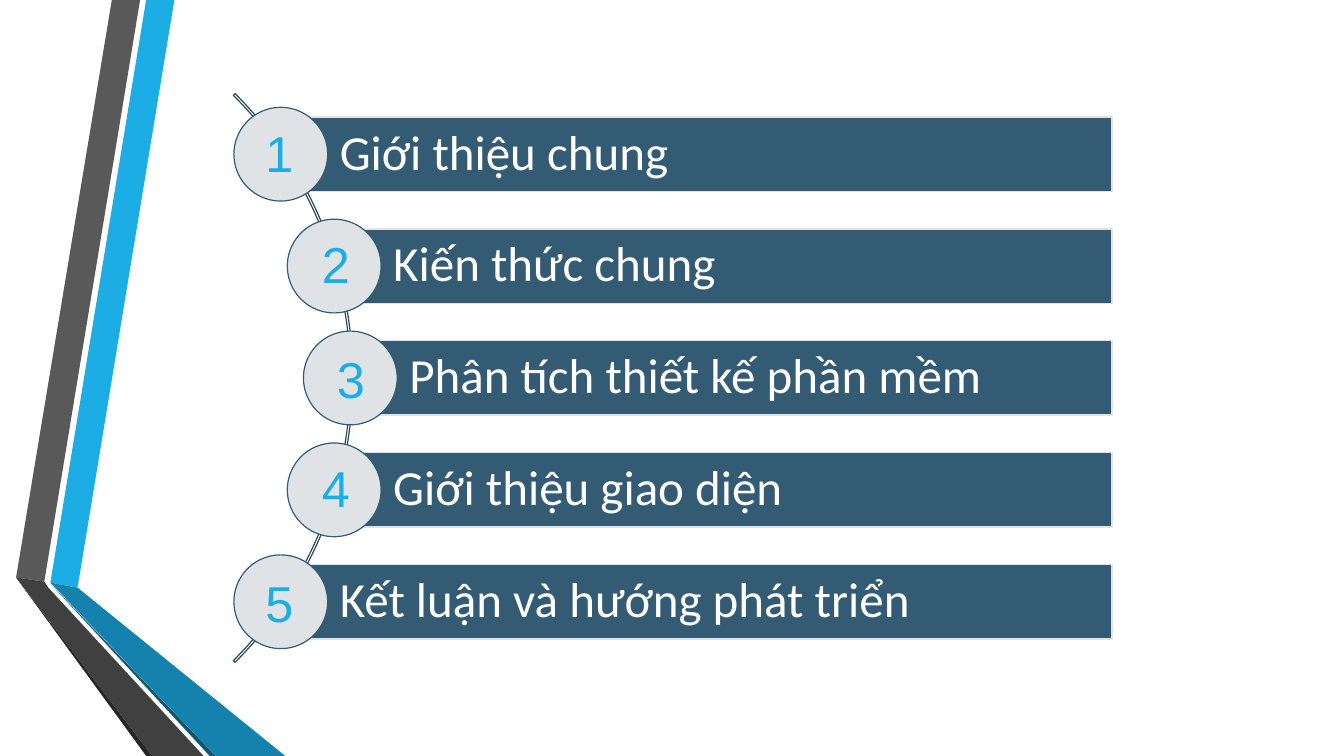
from dataclasses import dataclass

import pptx
import pptx.dml.color
import pptx.enum.shapes
import pptx.enum.text
import pptx.util
from pptx.dml.color import RGBColor
from pptx.util import Inches

WHITE = RGBColor(0xFF, 0xFF, 0xFF)
SKY = RGBColor(0x1C, 0xAD, 0xE4)
SKY_SHADE = RGBColor(0x14, 0x82, 0xAC)
SKY_DEEP = RGBColor(0x0E, 0x57, 0x72)
GRAY = RGBColor(0x59, 0x59, 0x59)
GRAY_SHADE = RGBColor(0x40, 0x40, 0x40)
GRAY_DEEP = RGBColor(0x26, 0x26, 0x26)
SLATE = RGBColor(0x33, 0x5B, 0x74)
SLATE_DARK = RGBColor(0x29, 0x49, 0x5D)
MIST = RGBColor(0xDF, 0xE3, 0xE5)

FIRST_BAR_TOP = 1.16
BAR_PITCH = 1.11
BAR_HEIGHT = 0.74
BAR_RIGHT = 11.03
CIRCLE_SIZE = 0.93
CIRCLE_OVERHANG = 0.46


@dataclass(frozen=True)
class Ribbon:
    color: RGBColor
    points: tuple[tuple[float, float], ...]


@dataclass(frozen=True)
class AgendaItem:
    title: str
    bar_left: float
    number_left: float
    number_top: float


RIBBONS = (
    Ribbon(SKY, ((0.5, 5.78), (0.77, 5.83), (1.73, 0), (1.45, 0))),
    Ribbon(GRAY, ((1.39, 0), (1.11, 0), (0.16, 5.73), (0.44, 5.77))),
    Ribbon(GRAY_DEEP, ((0.16, 5.73), (1.45, 7.5), (1.51, 7.5))),
    Ribbon(SKY_DEEP, ((0.5, 5.79), (2.08, 7.5), (2.14, 7.5))),
    Ribbon(SKY_SHADE, ((0.5, 5.78), (2.14, 7.5), (2.83, 7.5), (0.77, 5.83))),
    Ribbon(GRAY_SHADE, ((2.02, 7.5), (0.48, 5.83), (0.44, 5.77), (0.16, 5.73), (1.51, 7.5))),
)

AGENDA = (
    AgendaItem("Giới thiệu chung", 2.78, 2.53, 1.16),
    AgendaItem("Kiến thức chung", 3.31, 3.09, 2.26),
    AgendaItem("Phân tích thiết kế phần mềm", 3.47, 3.24, 3.4),
    AgendaItem("Giới thiệu giao diện", 3.31, 3.09, 4.49),
    AgendaItem("Kết luận và hướng phát triển", 2.78, 2.53, 5.63),
)


def draw_ribbon(slide: pptx.slide.Slide, ribbon: Ribbon) -> None:
    points = [(Inches(x), Inches(y)) for x, y in ribbon.points]
    builder = slide.shapes.build_freeform(*points[0])
    builder.add_line_segments(points[1:], close=True)
    shape = builder.convert_to_shape()
    shape.shadow.inherit = False
    shape.fill.solid()
    shape.fill.fore_color.rgb = ribbon.color
    shape.line.fill.background()


def add_outlined_shape(
    slide: pptx.slide.Slide,
    kind: pptx.enum.shapes.MSO_SHAPE,
    box: tuple[float, float, float, float],
    fill: RGBColor | None,
    line: RGBColor,
    line_width: float,
) -> pptx.shapes.autoshape.Shape:
    shape = slide.shapes.add_shape(kind, *map(Inches, box))
    shape.shadow.inherit = False
    if fill is None:
        shape.fill.background()
    else:
        shape.fill.solid()
        shape.fill.fore_color.rgb = fill
    shape.line.color.rgb = line
    shape.line.width = pptx.util.Pt(line_width)
    return shape


def write_text(
    shape: pptx.shapes.autoshape.Shape,
    text: str,
    font: str,
    size: float,
    color: RGBColor,
    alignment: pptx.enum.text.PP_ALIGN,
) -> None:
    paragraph = shape.text_frame.paragraphs[0]
    paragraph.alignment = alignment
    run = paragraph.add_run()
    run.text = text
    run.font.name = font
    run.font.size = pptx.util.Pt(size)
    run.font.color.rgb = color


def draw_arc(slide: pptx.slide.Slide) -> None:
    arc = add_outlined_shape(
        slide, pptx.enum.shapes.MSO_SHAPE.BLOCK_ARC, (-4.48, -0.24, 7.98, 7.98), None, SLATE_DARK, 0.85
    )
    for index, value in enumerate((189, 27, 0.003)):
        arc.adjustments[index] = value


def draw_agenda_item(slide: pptx.slide.Slide, index: int, item: AgendaItem) -> None:
    bar_top = FIRST_BAR_TOP + index * BAR_PITCH
    bar = add_outlined_shape(
        slide,
        pptx.enum.shapes.MSO_SHAPE.RECTANGLE,
        (item.bar_left, bar_top, BAR_RIGHT - item.bar_left, BAR_HEIGHT),
        SLATE,
        MIST,
        1.2,
    )
    frame = bar.text_frame
    frame.word_wrap = True
    frame.vertical_anchor = pptx.enum.text.MSO_ANCHOR.MIDDLE
    frame.margin_left = Inches(0.59)
    frame.margin_top = frame.margin_right = frame.margin_bottom = Inches(0.1)
    frame.paragraphs[0].line_spacing = 0.9
    write_text(bar, item.title, "Calibri", 35, WHITE, pptx.enum.text.PP_ALIGN.LEFT)

    circle_top = bar_top + (BAR_HEIGHT - CIRCLE_SIZE) / 2
    add_outlined_shape(
        slide,
        pptx.enum.shapes.MSO_SHAPE.OVAL,
        (item.bar_left - CIRCLE_OVERHANG, circle_top, CIRCLE_SIZE, CIRCLE_SIZE),
        MIST,
        SLATE,
        0.85,
    )

    number = slide.shapes.add_textbox(
        Inches(item.number_left), Inches(item.number_top), Inches(0.48), Inches(0.71)
    )
    number.text_frame.word_wrap = False
    number.text_frame.auto_size = pptx.enum.text.MSO_AUTO_SIZE.SHAPE_TO_FIT_TEXT
    write_text(number, str(index + 1), "Arial", 36, SKY, pptx.enum.text.PP_ALIGN.CENTER)


def main() -> None:
    presentation = pptx.Presentation()
    presentation.slide_width = Inches(13.33)
    presentation.slide_height = Inches(7.5)
    slide = presentation.slides.add_slide(presentation.slide_layouts[6])
    for ribbon in RIBBONS:
        draw_ribbon(slide, ribbon)
    draw_arc(slide)
    for index, item in enumerate(AGENDA):
        draw_agenda_item(slide, index, item)
    presentation.save("out.pptx")


if __name__ == "__main__":
    main()
